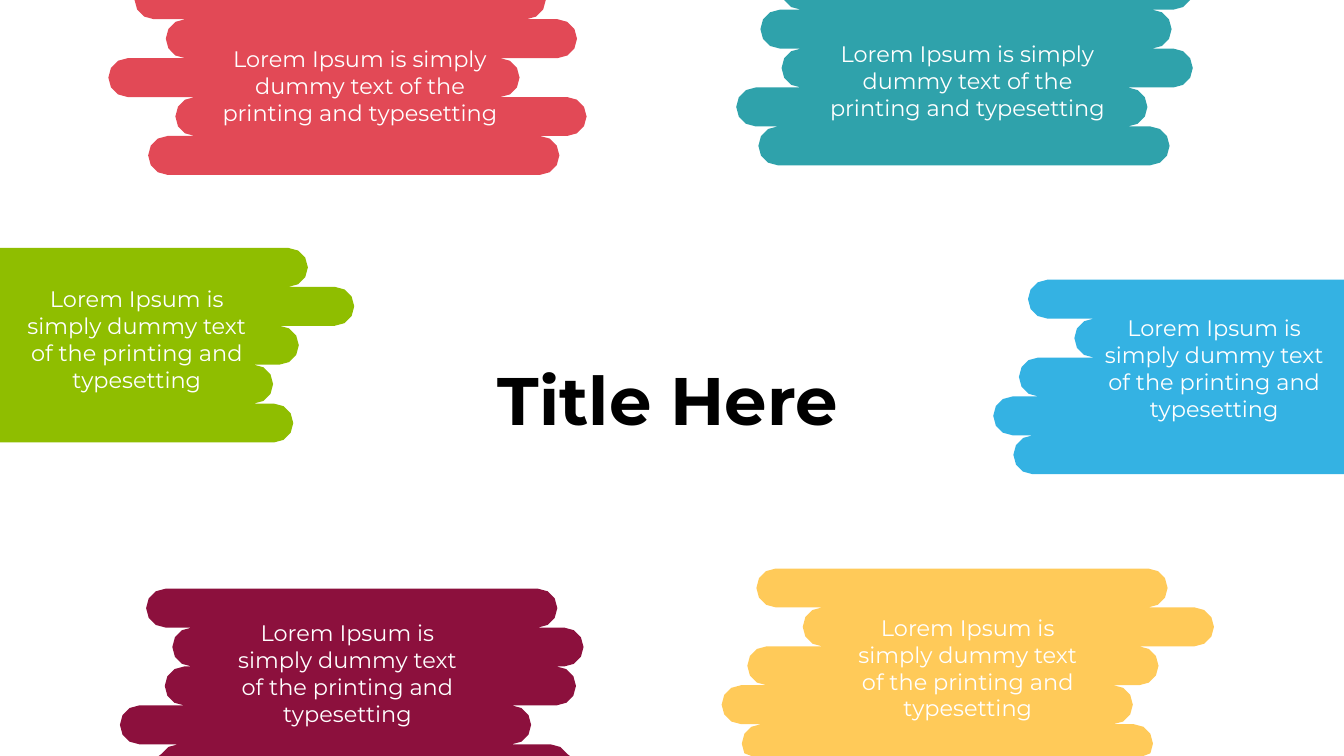
from dataclasses import dataclass
from math import cos, pi, sin

from pptx import Presentation
from pptx.dml.color import RGBColor
from pptx.enum.text import MSO_ANCHOR, PP_ALIGN
from pptx.util import Inches, Pt

CENTER = PP_ALIGN.CENTER
TOP = MSO_ANCHOR.TOP

SLIDE_WIDTH, SLIDE_HEIGHT = 26.67, 15
STROKE_WIDTH = 8.16
STROKE_HEIGHT = 3.86 / 5
CAP_STEPS = 6


@dataclass(frozen=True)
class Theme:
    font: str = "Montserrat"
    title_size: int = 96
    caption_size: int = 32
    black: str = "000000"
    white: str = "FFFFFF"
    blue: str = "34B2E3"
    yellow: str = "FFCA59"
    maroon: str = "8C103D"
    green: str = "8FBE00"
    red: str = "E24956"
    teal: str = "2FA2AB"


THEME = Theme()
CAPTION = "Lorem Ipsum is simply dummy text of the printing and typesetting"

SIDE_OFFSETS = (0, 0.92, -0.18, -0.69, -0.29)
MAROON_OFFSETS = (0, 0.52, 0.37, -0.52, 0.25)
RED_OFFSETS = (0, 0.62, -0.52, 0.81, 0.27)
TEAL_OFFSETS = (0, -0.42, 0, -0.9, -0.46)

BRUSHES = (
    (20.4, 5.55, SIDE_OFFSETS, THEME.blue),
    (15.01, 11.28, SIDE_OFFSETS, THEME.yellow),
    (2.9, 11.68, MAROON_OFFSETS, THEME.maroon),
    (-2.05, 4.92, SIDE_OFFSETS, THEME.green),
    (2.67, -0.39, RED_OFFSETS, THEME.red),
    (15.51, -0.58, TEAL_OFFSETS, THEME.teal),
)

TITLE_BOX = (8.71, 7.01, 9.47, 1.94)
CAPTION_BOXES = (
    (4.06, 0.8, 6.17, 2.89),
    (16.02, 0.7, 6.36, 2.9),
    (21.52, 6.14, 5.15, 2.9),
    (16.63, 12.08, 5.15, 2.9),
    (4.32, 12.19, 5.15, 2.9),
    (0.14, 5.56, 5.15, 2.9),
)


def clip_to_slide(x, y):
    return (
        Inches(min(max(x, 0), SLIDE_WIDTH)),
        Inches(min(max(y, 0), SLIDE_HEIGHT)),
    )


def cap_points(center_x, center_y, start_angle):
    radius = STROKE_HEIGHT / 2
    for step in range(CAP_STEPS + 1):
        angle = start_angle + pi * step / CAP_STEPS
        yield clip_to_slide(
            center_x + radius * cos(angle), center_y + radius * sin(angle)
        )


def drop_straight_points(points):
    corners = []
    for point in points:
        while len(corners) > 1 and any(
            corners[-2][axis] == corners[-1][axis] == point[axis] for axis in (0, 1)
        ):
            corners.pop()
        corners.append(point)
    return corners


def add_brush(slide, left, top, offsets, color):
    radius = STROKE_HEIGHT / 2
    strokes = [
        (left + offset, top + radius + row * STROKE_HEIGHT)
        for row, offset in enumerate(offsets)
    ]
    points = []
    for x, y in strokes:
        points.extend(cap_points(x + STROKE_WIDTH - radius, y, -pi / 2))
    for x, y in reversed(strokes):
        points.extend(cap_points(x + radius, y, pi / 2))
    corners = drop_straight_points(points)
    builder = slide.shapes.build_freeform(*corners[0], scale=1.0)
    builder.add_line_segments(corners[1:], close=True)
    shape = builder.convert_to_shape()
    shape.shadow.inherit = False
    shape.fill.solid()
    shape.fill.fore_color.rgb = RGBColor.from_string(color)
    shape.line.fill.background()


def add_text(slide, box, text, size, color, bold=False):
    text_box = slide.shapes.add_textbox(*(Inches(length) for length in box))
    text_frame = text_box.text_frame
    frame_format = {
        "word_wrap": True,
        "vertical_anchor": TOP,
        "margin_left": Inches(0.2),
        "margin_right": Inches(0.2),
        "margin_top": Inches(0.1),
        "margin_bottom": Inches(0.1),
    }
    for name, value in frame_format.items():
        setattr(text_frame, name, value)
    paragraph = text_frame.paragraphs[0]
    paragraph.alignment = CENTER
    run = paragraph.add_run()
    run.text = text
    font_format = {"name": THEME.font, "size": Pt(size), "bold": bold}
    for name, value in font_format.items():
        setattr(run.font, name, value)
    run.font.color.rgb = RGBColor.from_string(color)


def main():
    presentation = Presentation()
    presentation.slide_width = Inches(SLIDE_WIDTH)
    presentation.slide_height = Inches(SLIDE_HEIGHT)
    slide = presentation.slides.add_slide(presentation.slide_layouts[6])
    for brush in BRUSHES:
        add_brush(slide, *brush)
    add_text(slide, TITLE_BOX, "Title Here ", THEME.title_size, THEME.black, bold=True)
    for box in CAPTION_BOXES:
        add_text(slide, box, CAPTION, THEME.caption_size, THEME.white)
    presentation.save("out.pptx")


if __name__ == "__main__":
    main()
